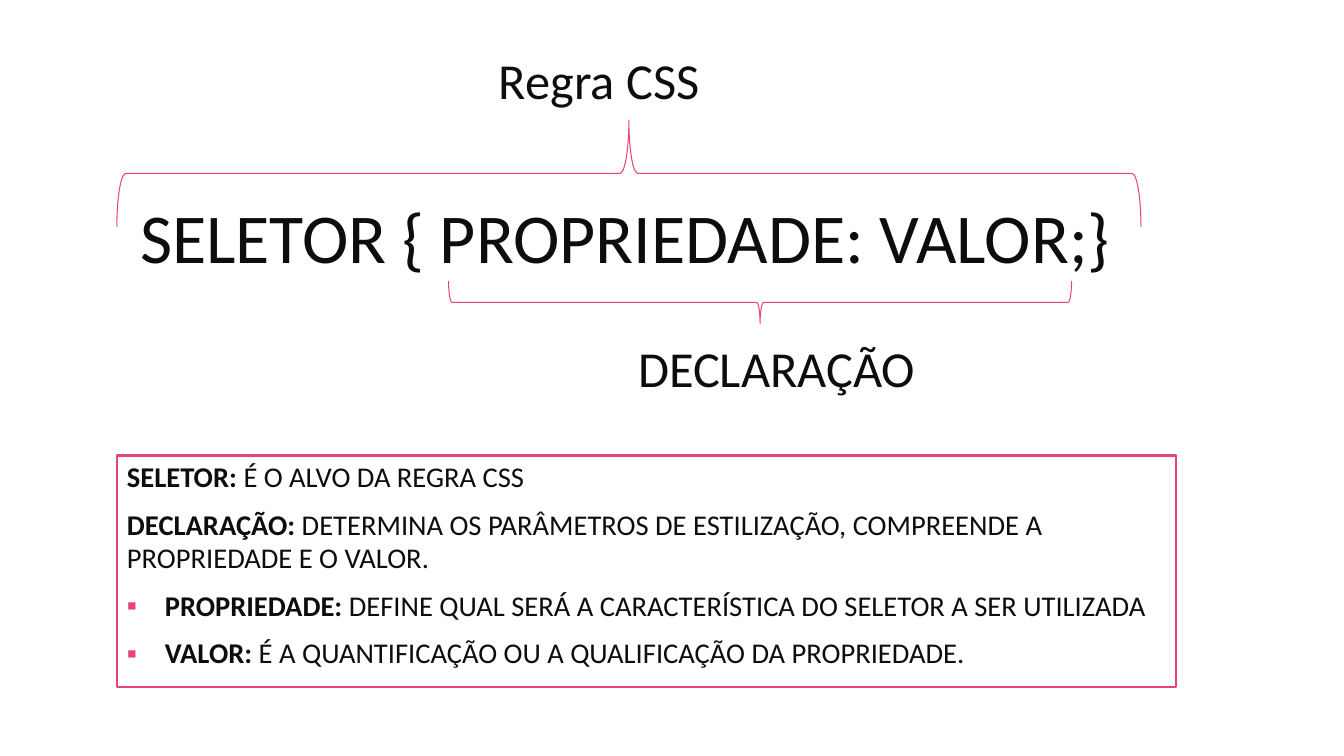
from lxml.etree import SubElement
from pptx import Presentation
from pptx.dml.color import RGBColor
from pptx.enum.shapes import MSO_SHAPE as SHAPE
from pptx.enum.text import MSO_ANCHOR as ANCHOR, MSO_AUTO_SIZE as AUTO, PP_ALIGN as ALIGN
from pptx.oxml.ns import qn
from pptx.util import Pt

COLORS = {"text": "0D0D0D", "accent": "E84574", "paper": "FFFFFF"}
FONT = "Calibri"

TITLE = ("Regra CSS", (349.2, 31.7, 160.6, 51.1), 36, ALIGN.LEFT, 0)
LABELS = [
    ("SELETOR { PROPRIEDADE: VALOR;}", (74.9, 134.6, 725.8, 102.2), 50, ALIGN.RIGHT, 10),
    ("DECLARAÇÃO", (437.8, 236.9, 234, 49.7), 36, ALIGN.CENTER, 10),
]
BRACES = [
    ((411.1, -241.9, 76.3, 731.5), 270),
    ((527.8, -6.5, 30.2, 445), 90),
]
DEFINITIONS_BOX = (83.5, 325.4, 756.7, 165.6)
DEFINITIONS = [
    ("SELETOR:", " É O ALVO DA REGRA CSS", False),
    ("DECLARAÇÃO:", " DETERMINA OS PARÂMETROS DE ESTILIZAÇÃO, COMPREENDE A PROPRIEDADE E O VALOR.", False),
    ("PROPRIEDADE:", " DEFINE QUAL SERÁ A CARACTERÍSTICA DO SELETOR A SER UTILIZADA", True),
    ("VALOR:", " É A QUANTIFICAÇÃO OU A QUALIFICAÇÃO DA PROPRIEDADE.", True),
]
DEFINITION_SIZE = 20.4
BULLET_INDENT = 27


def color(name):
    return RGBColor.from_string(COLORS[name])


def place(sp, box):
    sp.left, sp.top, sp.width, sp.height = map(Pt, box)


def outline(sp, width):
    sp.line.color.rgb = color("accent")
    sp.line.width = Pt(width)


def set_frame(sp):
    tf = sp.text_frame
    tf.word_wrap = True
    tf.auto_size = AUTO.NONE
    tf.vertical_anchor = ANCHOR.TOP
    return tf


def set_spacing(p, after):
    p.space_before = Pt(0)
    p.space_after = Pt(after)


def add_run(p, text, size, bold=False):
    r = p.add_run()
    r.text = text
    r.font.name = FONT
    r.font.size = Pt(size)
    r.font.bold = bold
    r.font.color.rgb = color("text")


def write_label(sp, text, box, size, align, after):
    place(sp, box)
    p = set_frame(sp).paragraphs[0]
    p.alignment = align
    set_spacing(p, after)
    add_run(p, text, size)


def set_bullet(p, bulleted):
    pPr = p._p.get_or_add_pPr()
    indent = Pt(BULLET_INDENT) if bulleted else 0
    pPr.set("marL", str(indent))
    pPr.set("indent", str(-indent))
    if bulleted:
        buClr = SubElement(pPr, qn("a:buClr"))
        SubElement(buClr, qn("a:srgbClr"), val=COLORS["accent"])
        SubElement(pPr, qn("a:buFont"), typeface=FONT)
        SubElement(pPr, qn("a:buChar"), char="▪")
    else:
        SubElement(pPr, qn("a:buNone"))


def write_definitions(sp):
    place(sp, DEFINITIONS_BOX)
    sp.fill.solid()
    sp.fill.fore_color.rgb = color("paper")
    outline(sp, 1.5)
    tf = set_frame(sp)
    for i, (term, meaning, bulleted) in enumerate(DEFINITIONS):
        p = tf.add_paragraph() if i else tf.paragraphs[0]
        p.line_spacing = 0.98
        set_spacing(p, 10)
        set_bullet(p, bulleted)
        add_run(p, term, DEFINITION_SIZE, True)
        add_run(p, meaning, DEFINITION_SIZE)


def add_brace(slide, box, rotation):
    sp = slide.shapes.add_shape(SHAPE.RIGHT_BRACE, *map(Pt, box))
    sp.rotation = rotation
    sp.shadow.inherit = False
    sp.fill.background()
    outline(sp, 0.75)


def main():
    prs = Presentation()
    prs.slide_width, prs.slide_height = Pt(960), Pt(540)
    slide = prs.slides.add_slide(prs.slide_layouts[1])
    write_label(slide.shapes.title, *TITLE)
    write_definitions(slide.placeholders[1])
    for label in LABELS:
        write_label(slide.shapes.add_textbox(*map(Pt, label[1])), *label)
    for box, rotation in BRACES:
        add_brace(slide, box, rotation)
    prs.save("out.pptx")


if __name__ == "__main__":
    main()
